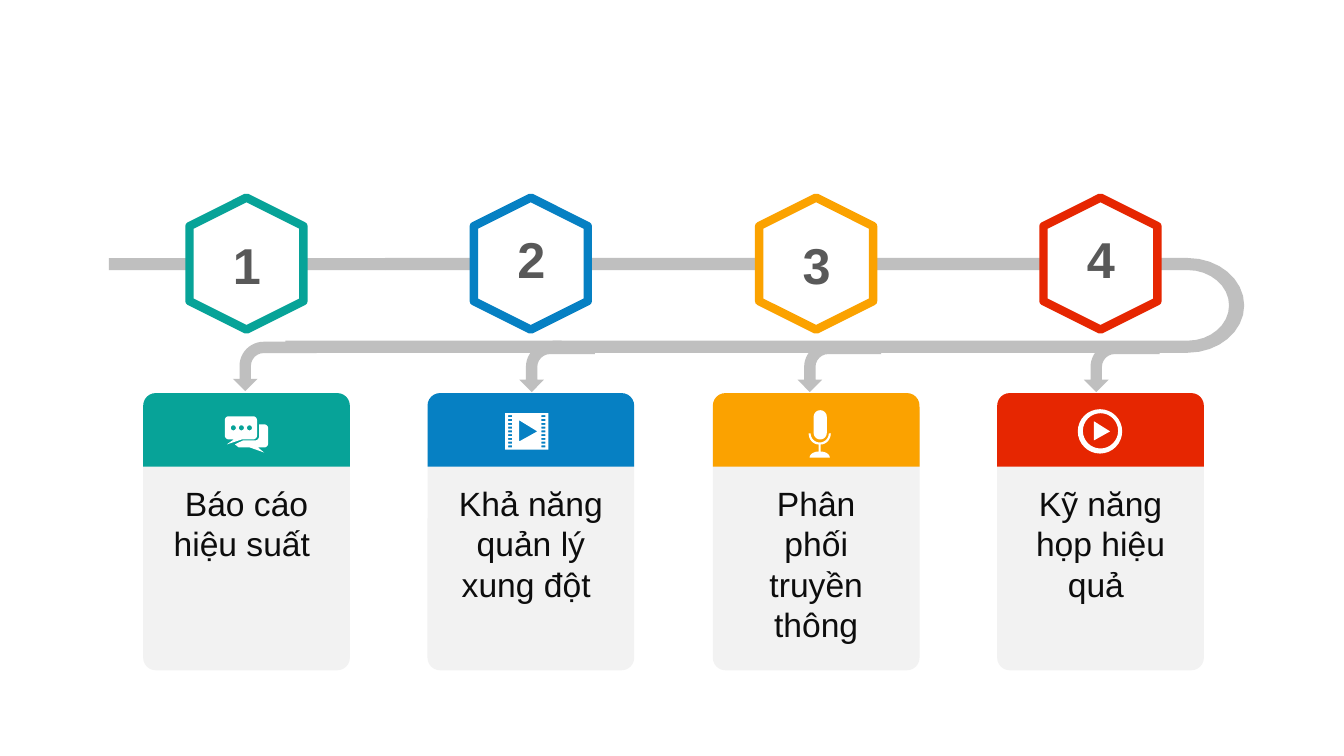
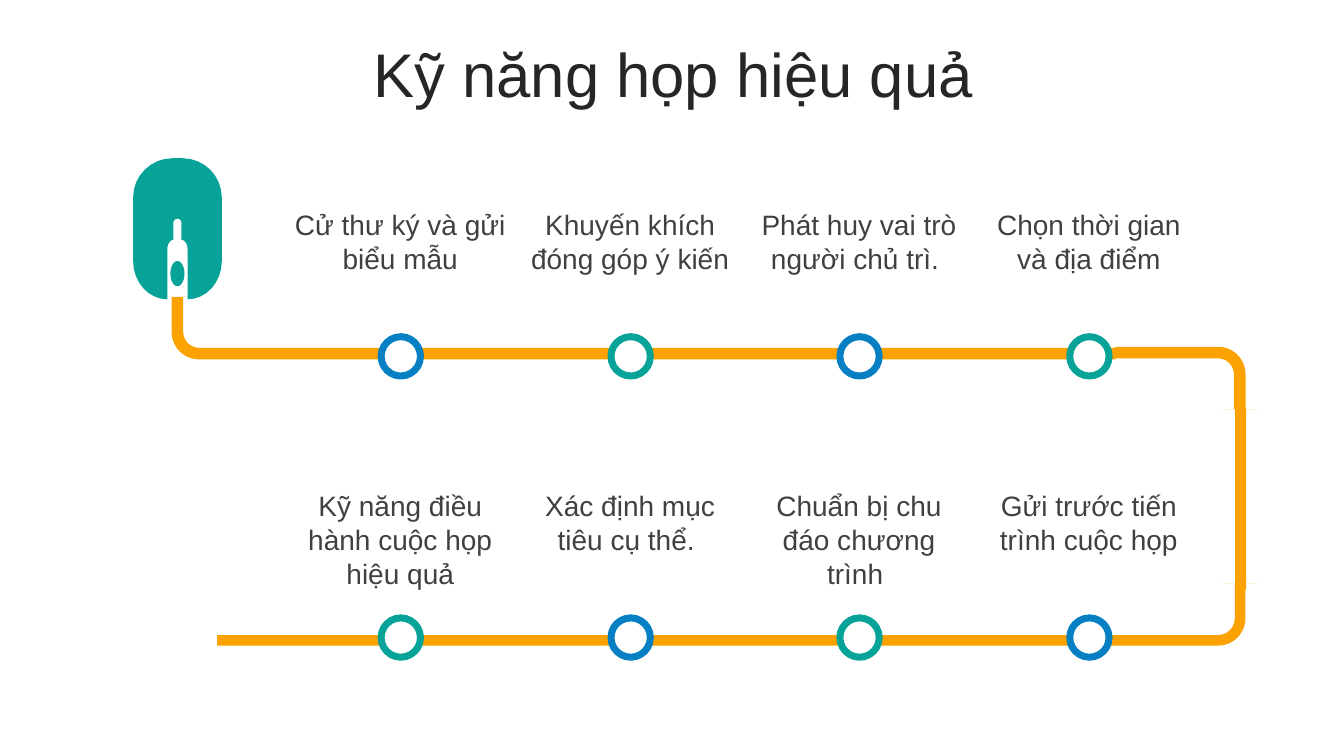
from math import hypot

from pptx import Presentation
from pptx.dml.color import RGBColor
from pptx.enum.shapes import MSO_SHAPE
from pptx.enum.text import MSO_ANCHOR, PP_ALIGN
from pptx.util import Pt

PX = 9144  # EMU in one px, 100 px to the inch
FINE = 100  # freeform units in one px
FONT = "Arial"
BLANK_LAYOUT, TITLE_ONLY_LAYOUT = 6, 5

WHITE = RGBColor(0xFF, 0xFF, 0xFF)
TEAL = RGBColor(0x07, 0xA3, 0x98)
BLUE = RGBColor(0x06, 0x80, 0xC3)
AMBER = RGBColor(0xFB, 0xA2, 0x00)
RED = RGBColor(0xE6, 0x26, 0x01)
ROAD_GRAY = RGBColor(0xBF, 0xBF, 0xBF)
CARD_GRAY = RGBColor(0xF2, 0xF2, 0xF2)
NUMBER_GRAY = RGBColor(0x59, 0x59, 0x59)
CARD_TEXT = RGBColor(0x0D, 0x0D, 0x0D)
TITLE_TEXT = RGBColor(0x26, 0x26, 0x26)
STEP_TEXT = RGBColor(0x40, 0x40, 0x40)


def box(left, top, width, height, rx=0, ry=0):
    right, bottom = left + width, top + height
    return [(left, top, ry, rx), (right, top, rx, ry),
            (right, bottom, ry, rx), (left, bottom, rx, ry)]


def oval(left, top, width, height):
    return box(left, top, width, height, width / 2, height / 2)


# An outline is a list of corners: x, y and, for a rounded one,
# the length cut off before it and after it.
ROAD = [[(382, 256), (1234, 256, 56, 47), (1234, 350, 47, 56), (548, 350),
         (548, 338), (1219, 338, 41, 35), (1219, 268, 35, 41), (382, 268)]]
CHAT_ICON = [
    [(257, 421), (266, 421, 4, 4), (266, 444, 4, 4), (256, 444), (262, 449),
     (248, 444), (237, 444), (233, 441), (241, 437), (257, 437, 4, 4)],
    [(223, 413, 4, 4), (255, 413, 4, 4), (255, 436, 4, 4), (240, 436),
     (225, 441), (232, 436), (223, 436, 4, 4)],
    *[oval(left, 422, 5, 5) for left in (229, 237, 245)],
]
FILM_ICON = [
    box(501, 410, 43, 36),
    [(515, 417), (515, 438), (533, 428)],
    *[box(left, 412 + row * 3.75, 4, 2) for left in (504, 537) for row in range(9)],
]
MICROPHONE_ICON = [
    [(824, 430), (824, 441, 11, 10), (814, 441), (814, 448), (823, 448, 9, 6),
     (823, 454), (803, 454), (803, 448, 6, 9), (812, 448), (812, 441),
     (802, 441, 10, 11), (802, 430), (804, 430), (804, 439, 9, 9),
     (822, 439, 9, 9), (822, 430)],
    box(807, 407, 13, 29, 6.5, 6.5),
]
PLAY_ICON = [oval(1069, 406, 44, 44), oval(1074, 410, 35, 35),
             [(1085, 418), (1101, 428), (1085, 437)]]
MOUSE = [
    [(220, 157, 39, 39), (220, 297, 38, 34), (186, 297), (186, 238, 9, 6),
     (180, 238), (180, 217, 4, 4), (172, 217, 4, 4), (172, 238),
     (166, 238, 6, 9), (166, 297), (132, 297, 34, 38), (132, 157, 39, 39)],
    oval(169, 259, 14, 25),
]

# text, colour, icon, number top, arrow top, arrow height
CARDS = [
    ("Báo cáo hiệu suất ", TEAL, CHAT_ICON, 227, 322, 83),
    ("Khả năng quản lý xung đột ", BLUE, FILM_ICON, 221, 327, 75),
    ("Phân phối truyền thông", AMBER, MICROPHONE_ICON, 227, 323, 83),
    ("Kỹ năng họp hiệu quả ", RED, PLAY_ICON, 221, 327, 75),
]

MEETING_TITLE = "Kỹ năng họp hiệu quả"
# text top, circle top, steps
STEP_ROWS = [
    (201, 334, ["Cử thư ký và gửi biểu mẫu", "Khuyến khích đóng góp ý kiến",
                "Phát huy vai trò người chủ trì. ", "Chọn thời gian và địa điểm"]),
    (480, 613, ["Kỹ năng điều hành cuộc họp hiệu quả", "Xác định mục tiêu cụ thể. ",
                "Chuẩn bị chu đáo chương trình ", "Gửi trước tiến trình cuộc họp"]),
]
# frame, rotation, flipped, adjustments
CABLE_BENDS = [
    ((701, 93, 62, 1033), 90, True, (0.17, 0.298, 0, 0.438)),
    ((601, -149, 62, 949), 270, False, (0.186, 0.298, 0, 0.438)),
    ((1146, 304, 62, 142), 90, False, (0.186, 0.298, 0, 0.438)),
]


def emu(frame):
    return [length * PX for length in frame]


def paint(shape, fill, line=None, line_width=0):
    shape.shadow.inherit = False
    shape.fill.solid()
    shape.fill.fore_color.rgb = fill
    if line is None:
        shape.line.fill.background()
    else:
        shape.line.color.rgb = line
        shape.line.width = Pt(line_width)


def add_preset(slide, preset, frame, fill, line=None, line_width=0,
               rotation=0, flipped=False, adjustments=()):
    shape = slide.shapes.add_shape(preset, *emu(frame))
    paint(shape, fill, line, line_width)
    shape.rotation = rotation
    if flipped:
        shape._element.spPr.get_or_add_xfrm().set("flipH", "1")
    for index, value in enumerate(adjustments):
        shape.adjustments[index] = value
    return shape


def trace(corners, steps=8):
    """Turn corners into points, rounding with Bezier curves."""
    points = []
    for index, (x, y, *cuts) in enumerate(corners):
        if not any(cuts):
            points.append((x, y))
            continue
        ends = []
        for neighbour, cut in zip((corners[index - 1],
                                   corners[(index + 1) % len(corners)]), cuts):
            dx, dy = neighbour[0] - x, neighbour[1] - y
            share = cut / hypot(dx, dy)
            ends.append((dx * share, dy * share))
        (ax, ay), (bx, by) = ends
        for step in range(steps + 1):
            t = step / steps
            before = (1 - t) ** 3 + 1.35 * t * (1 - t) ** 2
            after = t ** 3 + 1.35 * t ** 2 * (1 - t)
            points.append((x + ax * before + bx * after,
                           y + ay * before + by * after))
    return [(px * FINE, py * FINE) for px, py in points]


def add_outline(slide, contours, fill):
    first, *others = [trace(corners) for corners in contours]
    builder = slide.shapes.build_freeform(*first[0], scale=PX / FINE)
    builder.add_line_segments(first[1:], close=True)
    for points in others:
        builder.move_to(*points[0])
        builder.add_line_segments(points[1:], close=True)
    paint(builder.convert_to_shape(), fill)


def write(shape, text, size, color, bold=False):
    shape.text_frame.word_wrap = True
    paragraph = shape.text_frame.paragraphs[0]
    paragraph.text = text
    paragraph.alignment = PP_ALIGN.CENTER
    paragraph.font.name = FONT
    paragraph.font.size = Pt(size)
    paragraph.font.bold = bold
    paragraph.font.color.rgb = color
    return paragraph


def add_text(slide, frame, *style, **options):
    write(slide.shapes.add_textbox(*emu(frame)), *style, **options)


def build_topics(presentation):
    slide = presentation.slides.add_slide(presentation.slide_layouts[BLANK_LAYOUT])
    for left, top in ((108, 256), (283, 338)):
        add_preset(slide, MSO_SHAPE.RECTANGLE, (left, top, 274, 12), ROAD_GRAY)
    add_outline(slide, ROAD, ROAD_GRAY)
    for index, (text, color, icon, number_top, arrow_top, arrow_height) in enumerate(CARDS):
        left = 142 + index * 565 // 2
        add_preset(slide, MSO_SHAPE.BENT_ARROW,
                   (248 + index * 280, arrow_top, 49, arrow_height), ROAD_GRAY,
                   rotation=270, flipped=True, adjustments=(0.23, 0.25, 0.25, 0.489))
        add_preset(slide, MSO_SHAPE.HEXAGON, (left + 37, 205, 131, 113),
                   WHITE, color, 6, rotation=270)
        add_preset(slide, MSO_SHAPE.ROUNDED_RECTANGLE, (left, 398, 205, 267),
                   CARD_GRAY, adjustments=(0.061,))
        add_preset(slide, MSO_SHAPE.ROUND_2_SAME_RECTANGLE, (left, 390, 205, 73),
                   color, adjustments=(0.17, 0))
        add_text(slide, (left + 51, number_top, 104, 71), str(index + 1), 36,
                 NUMBER_GRAY, bold=True)
        add_text(slide, (left + 18, 474, 169, 172), text, 24, CARD_TEXT)
        add_outline(slide, icon, WHITE)


def build_meeting_skills(presentation):
    slide = presentation.slides.add_slide(presentation.slide_layouts[TITLE_ONLY_LAYOUT])
    title = slide.shapes.title
    title.left, title.top, title.width, title.height = emu((35, 37, 1266, 79))
    title.text_frame.vertical_anchor = MSO_ANCHOR.MIDDLE
    write(title, MEETING_TITLE, 44, TITLE_TEXT).line_spacing = 0.9

    for frame, rotation, flipped, adjustments in CABLE_BENDS:
        add_preset(slide, MSO_SHAPE.BENT_ARROW, frame, AMBER, rotation=rotation,
                   flipped=flipped, adjustments=adjustments)
    add_preset(slide, MSO_SHAPE.RECTANGLE, (1225, 405, 11, 180), AMBER)
    for row, (text_top, circle_top, steps) in enumerate(STEP_ROWS):
        for column, text in enumerate(steps):
            offset = round(column * 683 / 3)
            color = (BLUE, TEAL)[(row + column) % 2]
            add_preset(slide, MSO_SHAPE.OVAL, (378 + offset, circle_top, 39, 39),
                       WHITE, color, 5)
            add_text(slide, (282 + offset, text_top, 230, 111), text, 20, STEP_TEXT)
    add_outline(slide, MOUSE, TEAL)


def main():
    presentation = Presentation()
    presentation.slide_width, presentation.slide_height = emu((1333, 750))
    build_topics(presentation)
    build_meeting_skills(presentation)
    presentation.save("out.pptx")


if __name__ == "__main__":
    main()
